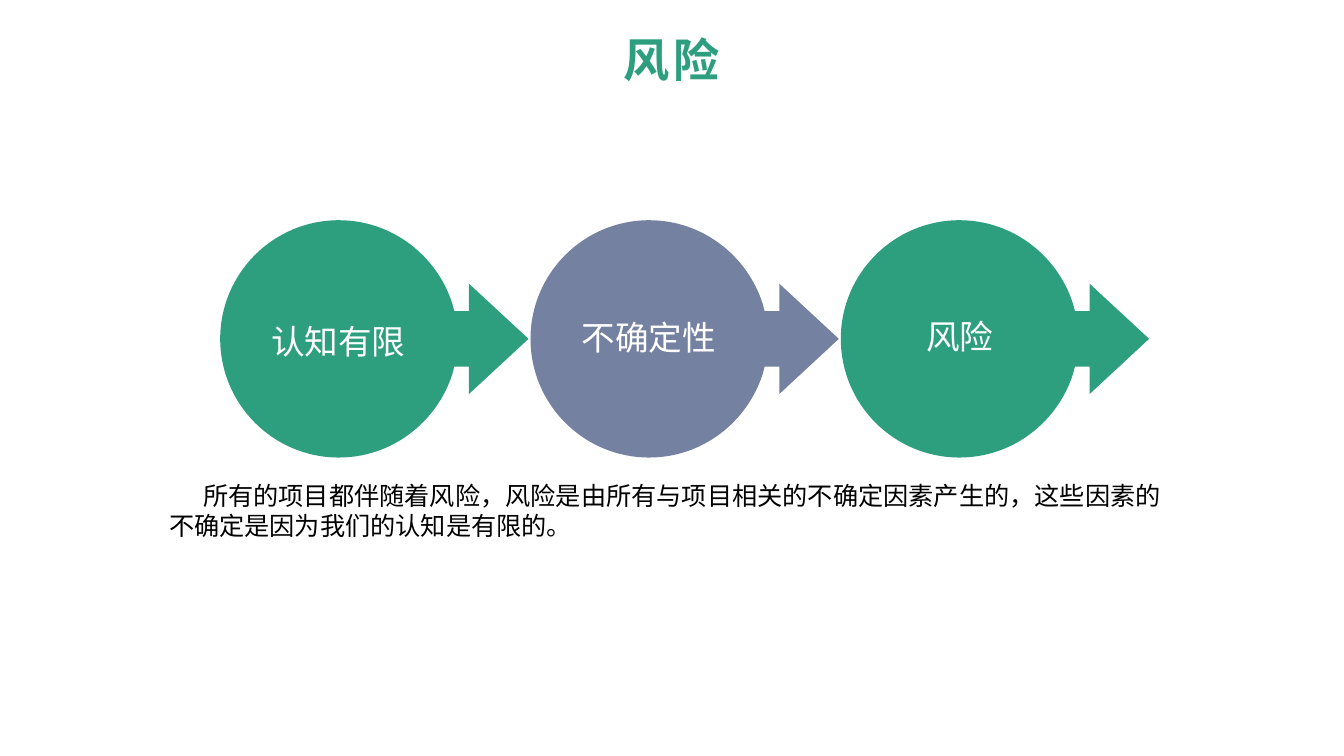
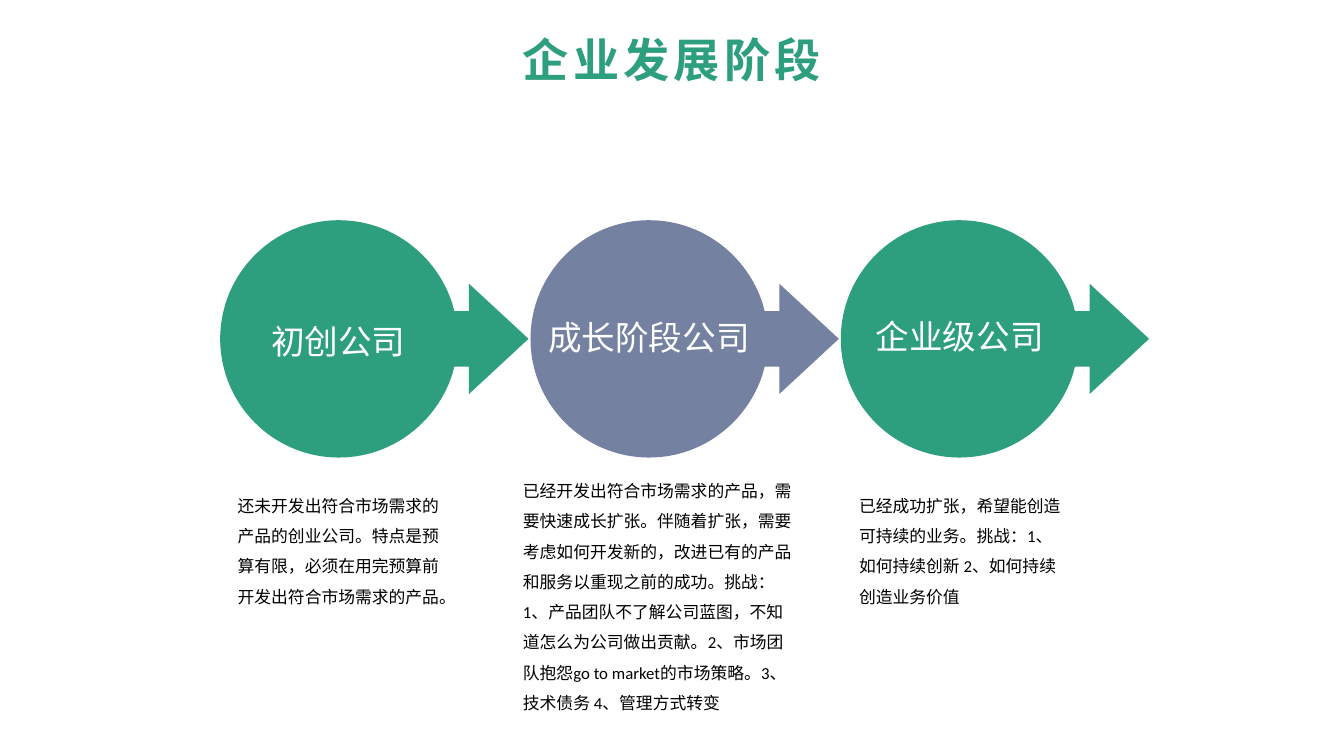
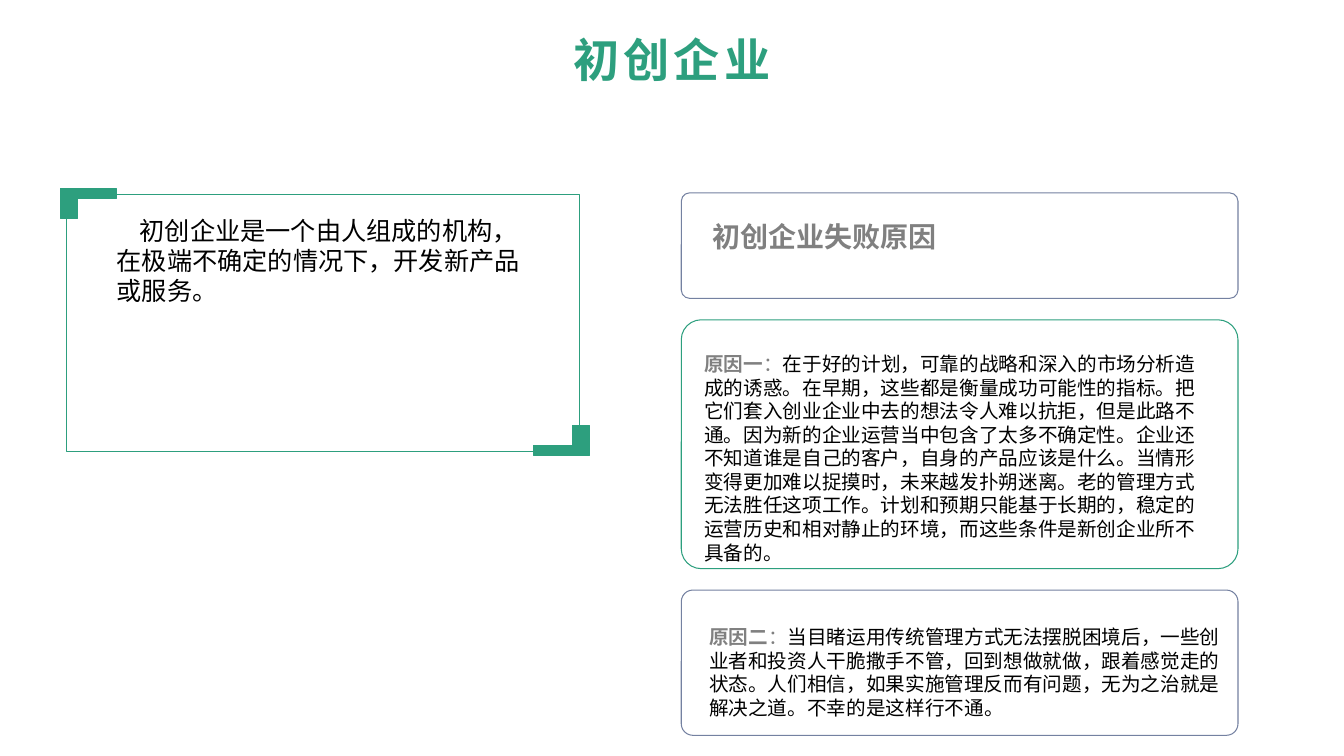
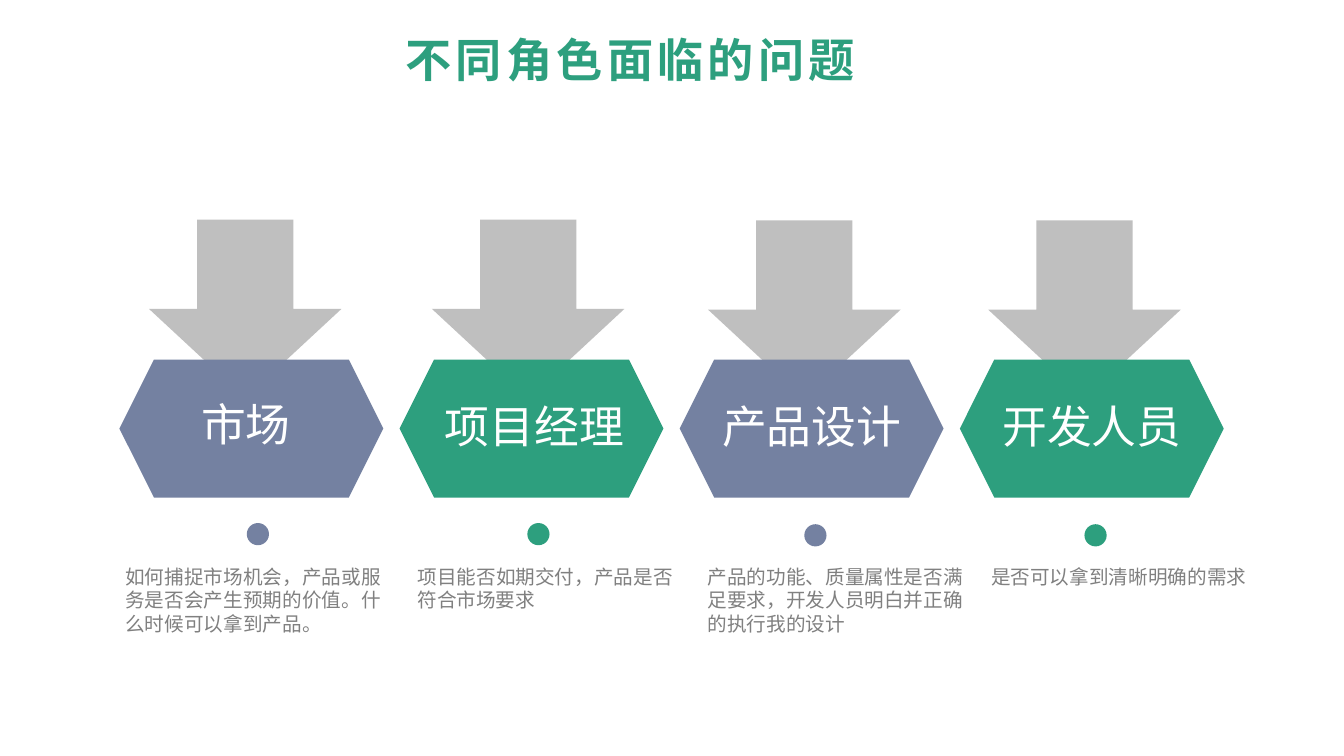
from lxml.etree import SubElement
from pptx import Presentation
from pptx.dml.color import RGBColor
from pptx.enum.shapes import MSO_SHAPE
from pptx.enum.text import MSO_ANCHOR, MSO_AUTO_SIZE, PP_ALIGN
from pptx.oxml.ns import qn
from pptx.util import Cm, Pt

GREEN, SLATE, SILVER = "2D9F7E", "7481A1", "BFBFBF"
GRAY, BLACK, WHITE = "808080", "000000", "FFFFFF"
CJK = "Noto Sans CJK SC"


def rgb(value):
    return RGBColor.from_string(value)


class Deck:
    """Holds the shared style and the slide being built."""

    def __init__(self):
        self.prs = Presentation()
        self.prs.slide_width, self.prs.slide_height = Cm(33.87), Cm(19.05)
        self.slide = None

    def new_slide(self, title, left=12.41, width=9.04):
        self.slide = self.prs.slides.add_slide(self.prs.slide_layouts[5])
        heading = self.slide.shapes.title
        heading.left, heading.top = Cm(left), Cm(0.79)
        heading.width, heading.height = Cm(width), Cm(1.42)
        frame = heading.text_frame
        frame.auto_size = MSO_AUTO_SIZE.NONE
        frame.vertical_anchor = MSO_ANCHOR.MIDDLE
        frame.margin_left = frame.margin_right = 0
        frame.margin_top = frame.margin_bottom = 0
        frame.text = title
        paragraph = frame.paragraphs[0]
        paragraph.alignment = PP_ALIGN.CENTER
        self.style(paragraph, 33, GREEN, CJK, bold=True, spacing=3)

    def style(self, paragraph, size, color, font, bold=False, spacing=0):
        face = paragraph.font
        face.size, face.bold, face.name = Pt(size), bold, font
        face.color.rgb = rgb(color)
        properties = paragraph._p.pPr.find(qn("a:defRPr"))
        SubElement(properties, qn("a:ea")).set("typeface", CJK)
        if spacing:
            properties.set("spc", str(spacing * 100))

    def text(self, content, box, size, color=BLACK, font=CJK, align=PP_ALIGN.LEFT,
             bold=False, line_spacing=None, indent=0, wrap=True):
        """Content is a string or a list of (text, colour, bold) runs."""
        frame = self.slide.shapes.add_textbox(*map(Cm, box)).text_frame
        frame.word_wrap = wrap
        frame.auto_size = MSO_AUTO_SIZE.SHAPE_TO_FIT_TEXT
        paragraph = frame.paragraphs[0]
        paragraph.alignment = align
        if line_spacing:
            paragraph.line_spacing = line_spacing
        self.style(paragraph, size, color, font, bold)
        if indent:
            paragraph._p.pPr.set("indent", str(Cm(indent)))
        if isinstance(content, str):
            paragraph.add_run().text = content
            return
        for words, run_color, run_bold in content:
            run = paragraph.add_run()
            run.text = words
            run.font.bold = run_bold
            run.font.color.rgb = rgb(run_color)

    def paint(self, shape, fill=None, line=None):
        shape.shadow.inherit = False
        if fill:
            shape.fill.solid()
            shape.fill.fore_color.rgb = rgb(fill)
        else:
            shape.fill.background()
        if line:
            shape.line.color.rgb = rgb(line)
            shape.line.width = Pt(0.75)
        else:
            shape.line.fill.background()

    def shape(self, kind, box, fill=None, line=None, corner=None, turn=0):
        shape = self.slide.shapes.add_shape(kind, *map(Cm, box))
        shape.rotation = turn
        if corner is not None:
            shape.adjustments[0] = corner
        self.paint(shape, fill, line)

    def outline(self, points, fill, line=None, curves=()):
        """Each index in curves starts three points that form one Bézier segment."""
        corners = [(Cm(x), Cm(y)) for x, y in points]
        builder = self.slide.shapes.build_freeform(*corners[0])
        builder.add_line_segments(corners[1:], close=True)
        shape = builder.convert_to_shape()
        segments = list(shape._element.iter(qn("a:lnTo")))
        for first in curves:
            trio = segments[first - 1:first + 2]
            curve = trio[0].makeelement(qn("a:cubicBezTo"))
            trio[0].addprevious(curve)
            for segment in trio:
                curve.append(segment[0])
                segment.getparent().remove(segment)
        self.paint(shape, fill, line)

    def circle_arrow(self, center_x, center_y, fill):
        radius, handle = 2.99, 1.65
        upper = [(-radius, 0),
                 (-radius, -handle), (-handle, -radius), (0, -radius),
                 (1.34, -radius), (2.47, -2.1), (2.86, -0.89),
                 (2.91, -0.7), (3.28, -0.7), (3.28, -1.39), (4.78, 0)]
        lower = [(x, -y) for x, y in upper[-2::-1]]
        self.outline([(center_x + x, center_y + y) for x, y in upper + lower],
                     fill, curves=(1, 4, 15, 18))

    def stages(self, labels):
        """Three circles in a row, each pointing at the next."""
        colors, tops = (GREEN, SLATE, GREEN), (7.96, 7.85, 7.83)
        for i, color in enumerate(colors):
            self.circle_arrow(8.54 + 7.82 * i, 8.54, color)
        for i, (label, top) in enumerate(zip(labels, tops)):
            self.text(label, (5.54 + 7.83 * i, top, 5.97, 1.3), 24, WHITE,
                      "Arial Narrow", PP_ALIGN.CENTER)

    def corner_mark(self, x, y, direction):
        arms = [(0, 0), (1.41, 0), (1.41, 0.25), (0.44, 0.25), (0.44, 0.76), (0, 0.76)]
        self.outline([(x + direction * dx, y + direction * dy) for dx, dy in arms],
                     GREEN, GREEN)


def risk(deck):
    deck.new_slide("风险")
    deck.stages(["认知有限", "不确定性", "风险"])
    deck.text("所有的项目都伴随着风险，风险是由所有与项目相关的不确定因素产生的，"
              "这些因素的不确定是因为我们的认知是有限的。",
              (4.01, 11.97, 26.09, 1.8), 18, indent=0.86)


def growth_stages(deck):
    deck.new_slide("企业发展阶段")
    deck.stages(["初创公司", "成长阶段公司", "企业级公司"])
    descriptions = [
        ("还未开发出符合市场需求的产品的创业公司。特点是预算有限，"
         "必须在用完预算前开发出符合市场需求的产品。", (5.74, 12.11, 5.79, 3.96)),
        ("已经开发出符合市场需求的产品，需要快速成长扩张。伴随着扩张，"
         "需要考虑如何开发新的，改进已有的产品和服务以重现之前的成功。挑战："
         "1、产品团队不了解公司蓝图，不知道怎么为公司做出贡献。"
         "2、市场团队抱怨go to market的市场策略。3、技术债务 4、管理方式转变",
         (12.93, 11.74, 7.34, 7.11)),
        ("已经成功扩张，希望能创造可持续的业务。挑战：1、如何持续创新 "
         "2、如何持续创造业务价值", (21.4, 12.11, 5.77, 3.96)),
    ]
    for description, box in descriptions:
        deck.text(description, box, 12, font="Calibri", line_spacing=1.5)


def startup(deck):
    deck.new_slide("初创企业")
    # Definition in a frame with corner marks
    deck.shape(MSO_SHAPE.RECTANGLE, (1.68, 4.9, 12.92, 6.48), line=GREEN)
    deck.text("初创企业是一个由人组成的机构，在极端不确定的情况下，开发新产品或服务。",
              (2.69, 5.3, 10.9, 2.57), 18, font="Arial", indent=0.58)
    deck.corner_mark(1.52, 4.75, 1)
    deck.corner_mark(14.86, 11.48, -1)
    # Stack of cards
    top = 4.86
    for height, color in ((2.66, SLATE), (6.27, GREEN), (3.66, SLATE)):
        deck.shape(MSO_SHAPE.ROUNDED_RECTANGLE, (17.17, top, 14.03, height),
                   line=color, corner=0.08)
        top += height + 0.54
    deck.text("初创企业失败原因", (17.7, 5.41, 13, 1.12), 20, GRAY, bold=True)
    reasons = [
        ("原因一", "在于好的计划，可靠的战略和深入的市场分析造成的诱惑。在早期，"
         "这些都是衡量成功可能性的指标。把它们套入创业企业中去的想法令人难以抗拒，"
         "但是此路不通。因为新的企业运营当中包含了太多不确定性。"
         "企业还不知道谁是自己的客户，自身的产品应该是什么。"
         "当情形变得更加难以捉摸时，未来越发扑朔迷离。老的管理方式无法胜任这项工作。"
         "计划和预期只能基于长期的，稳定的运营历史和相对静止的环境，"
         "而这些条件是新创企业所不具备的。", (17.5, 8.75, 13.21, 6.25)),
        ("原因二", "当目睹运用传统管理方式无法摆脱困境后，一些创业者和投资人干脆撒手不管，"
         "回到想做就做，跟着感觉走的状态。人们相信，如果实施管理反而有问题，"
         "无为之治就是解决之道。不幸的是这样行不通。", (17.62, 15.63, 13.72, 3.25)),
    ]
    for name, reason, box in reasons:
        deck.text([(name, GRAY, True), ("：", GRAY, False), (reason, BLACK, False)],
                  box, 14)


def roles(deck):
    deck.new_slide("不同角色面临的问题", 9.75, 12.27)
    # Role, problem, problem alignment
    columns = [
        ("市场", "如何捕捉市场机会，产品或服务是否会产生预期的价值。什么时候可以拿到产品。",
         PP_ALIGN.LEFT),
        ("项目经理", "项目能否如期交付，产品是否符合市场要求", PP_ALIGN.LEFT),
        ("产品设计", "产品的功能、质量属性是否满足要求，开发人员明白并正确的执行我的设计",
         PP_ALIGN.LEFT),
        ("开发人员", "是否可以拿到清晰明确的需求", PP_ALIGN.CENTER),
    ]
    # Corners of each column's arrow, role and dot, and left edge of its problem
    places = [
        ((3.93, 5.36), (4.82, 9.88), (6.22, 13.18), 2.91),
        ((11.06, 5.36), (10.96, 9.93), (13.29, 13.18), 10.27),
        ((18.02, 5.38), (17.95, 9.93), (20.27, 13.21), 17.58),
        ((25.08, 5.38), (25.01, 9.93), (27.33, 13.21), 24.64),
    ]
    for i, ((role, problem, align), place) in enumerate(zip(columns, places)):
        arrow, label, dot, problem_x = place
        color = (SLATE, GREEN)[i % 2]
        deck.shape(MSO_SHAPE.RIGHT_ARROW, (*arrow, 4.5, 4.85), SILVER, turn=90)
        deck.shape(MSO_SHAPE.HEXAGON, (3.01 + 7.06 * i, 9.06, 6.65, 3.48), color)
        deck.text(role, (*label, 0.51 + 1.14 * len(role), 1.63), 32, WHITE, wrap=False)
        deck.shape(MSO_SHAPE.OVAL, (*dot, 0.56, 0.56), color)
        deck.text(problem, (problem_x, 14.1, 7.11, 2.06), 14, GRAY, align=align)


def main():
    deck = Deck()
    for build in (risk, growth_stages, startup, roles):
        build(deck)
    deck.prs.save("out.pptx")


if __name__ == "__main__":
    main()
